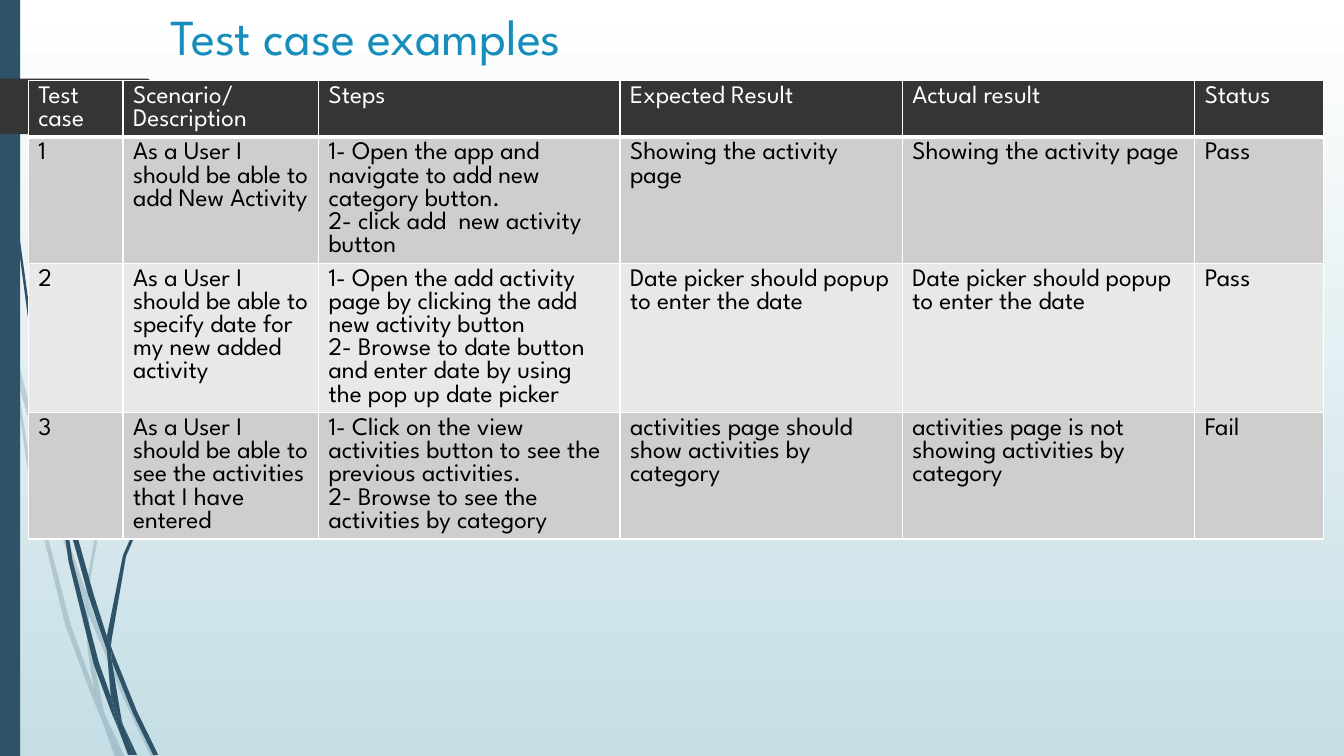
from dataclasses import dataclass

from lxml import etree
from pptx import Presentation, util as u
from pptx.dml.color import RGBColor
from pptx.enum import shapes, text
from pptx.oxml import ns

COLORS = {
    "title": "178DBB", "stem": "2E5369", "dark": "353535", "odd": "CECECE",
    "even": "E8E8E8", "white": "FFFFFF", "black": "000000", "sky": "C5DEE5",
}
FONT = "League Spartan"
TITLE_FONT = {"name": FONT, "size": u.Pt(36), "bold": False}
CELL_FONT = {"name": FONT, "size": u.Pt(18), "bold": False}
TITLE_BOX = {"left": u.Inches(1.59), "top": 0, "width": u.Inches(9.75), "height": u.Inches(1.4)}
TITLE_FRAME = {
    "vertical_anchor": text.MSO_ANCHOR.TOP,
    "auto_size": text.MSO_AUTO_SIZE.NONE,
    "word_wrap": True,
}
COLUMN_WIDTHS = (0.94, 1.94, 2.99, 2.8, 2.9, 1.28)
ROW_HEIGHTS = (0.56, 1.25, 1.48, 1.25)
TABLE_ROWS = (
    ("Test case", "Scenario/Description", "Steps", "Expected Result", "Actual result", "Status"),
    ("1", "As a User I should be able to add New Activity",
     "1- Open the app and navigate to add new category button.\n2- click add  new activity button",
     "Showing the activity page", "Showing the activity page", "Pass"),
    ("2", "As a User I should be able to specify date for my new added activity",
     "1- Open the add activity page by clicking the add new activity button\n"
     "2- Browse to date button and enter date by using the pop up date picker",
     "Date picker should popup to enter the date",
     "Date picker should popup to enter the date", "Pass"),
    ("3", "As a User I should be able to see the activities that I have entered",
     "1- Click on the view activities button to see the previous activities.\n"
     "2- Browse to see the activities by category",
     "activities page should show activities by category",
     "activities page is not  showing activities by category", "Fail"),
)


@dataclass(frozen=True)
class Outline:
    """A closed outline whose points are "x,y" pairs in inches."""
    points: str
    color: str = "stem"
    opacity: int = 100


PALE_STEMS = (
    "0.11,3.5 0.09,3.22 0,2.82 0,2.99 0.1,3.44",
    "0.58,5.22 0.84,5.99 0.85,5.86 0.62,5.2 0.14,3.45 0.17,3.76",
    "0.92,6.07 0.88,5.96 0.88,6.1 1.23,6.94 1.5,7.51 1.55,7.51 1.27,6.92",
    "1.19,7.51 1.24,7.51 1.05,7.11",
    "0.93,6.83 0.7,6.19 0.31,4.69 0.17,3.76 0.11,3.5 0.28,4.7 0.65,6.21 0.92,6.93 1.01,7.14 0.99,7.07",
    "0.84,5.99 0.87,6.46 0.93,6.83 0.96,6.92 1.05,7.11 1.03,7.06 0.91,6.46 0.88,6.1 0.88,6.08",
    "0.88,5.84 1.1,4.62 1.6,3.49 2.29,2.45 2.68,1.98 2.9,1.75 3.12,1.54 3.12,1.53 2.89,1.75 "
    "2.68,1.97 2.28,2.44 1.58,3.48 1.07,4.61 0.85,5.84 0.85,5.86 0.88,5.96",
    "1.01,7.14 1.14,7.51 1.19,7.51",
    "0.88,6.08 0.88,6.1 0.88,5.96 0.85,5.86 0.84,5.99",
    "0.96,6.92 0.93,6.83 0.99,7.07 1.01,7.14 1.19,7.51 1.05,7.11",
)
DARK_STEMS = (
    "0.07,1.1 0.17,2.33 0.33,3.55 0.56,4.77 0.57,4.81 0.55,4.57 0.55,4.53 0.36,3.55 0.19,2.32 "
    "0.08,1.09 0.05,0.48 0.04,0 0.03,0 0.04,0.48",
    "0.88,5.92 1.06,6.45 1.06,6.33 1.06,6.31 0.93,5.9 0.6,4.72 0.64,5.05",
    "1.13,6.49 1.1,6.41 1.11,6.56 1.32,7.08 1.52,7.49 1.57,7.49 1.36,7.06",
    "1.1,6.91 0.98,6.57 0.72,5.56 0.64,5.05 0.57,4.77 0.68,5.57 0.93,6.59 1.11,7.08 1.17,7.22 1.16,7.17",
    "0.6,4.72 0.58,4.53 0.54,3.49 0.58,2.45 0.63,1.93 0.7,1.41 0.62,1.93 0.56,2.45 0.52,3.49 0.55,4.49",
    "1.33,7.49 1.36,7.49 1.22,7.19",
    "0.57,4.77 0.64,5.05 0.6,4.72 0.55,4.49 0.55,4.53",
    "1.11,6.33 1.25,5.52 1.58,4.76 2.05,4.06 2.31,3.74 2.45,3.59 2.61,3.44 2.6,3.44 2.45,3.58 "
    "2.31,3.73 2.04,4.05 1.56,4.74 1.22,5.51 1.06,6.31 1.1,6.41",
    "1.17,7.22 1.27,7.49 1.31,7.49",
    "1.06,6.45 1.1,6.91 1.16,7.06 1.22,7.19 1.21,7.16 1.11,6.56 1.09,6.51",
    "1.06,6.45 1.09,6.51 1.11,6.56 1.1,6.41 1.06,6.31 1.06,6.33",
    "1.16,7.06 1.1,6.91 1.16,7.17 1.17,7.22 1.3,7.49 1.33,7.49 1.22,7.19",
)
PAGE_TAG = Outline(
    "1.73,1.08 1.48,1.33 1.46,1.34 1.36,1.34 0,1.33 0,0.78 1.46,0.78 1.48,0.79 1.73,1.04 1.74,1.06",
    "dark",
)


def rgb(color: str) -> RGBColor:
    """Look up a named colour."""
    return RGBColor.from_string(COLORS[color])


def apply(target: object, values: dict) -> None:
    """Set each format value on the target."""
    for name, value in values.items():
        setattr(target, name, value)


def paint(shape, color: str, opacity: int = 100) -> None:
    """Fill a shape flat, without outline or shadow."""
    shape.shadow.inherit = False
    shape.fill.solid()
    shape.fill.fore_color.rgb = rgb(color)
    shape.line.fill.background()
    if opacity < 100:
        fill_color = shape.fill._xPr.find(".//" + ns.qn("a:srgbClr"))
        etree.SubElement(fill_color, ns.qn("a:alpha"), val=str(opacity * 1000))


def draw_outline(slide, outline: Outline) -> None:
    """Draw one closed outline."""
    points = [tuple(u.Inches(float(number)) for number in pair.split(","))
              for pair in outline.points.split()]
    builder = slide.shapes.build_freeform(*points[0])
    builder.add_line_segments(points[1:], close=True)
    paint(builder.convert_to_shape(), outline.color, outline.opacity)


def draw_background(slide) -> None:
    """Draw the sky gradient, the stems, the side bar and the page tag."""
    fill = slide.background.fill
    fill.gradient()
    fill.gradient_angle = 270
    for stop, color in zip(fill.gradient_stops, ("white", "sky")):
        stop.color.rgb = rgb(color)
    for points in PALE_STEMS:
        draw_outline(slide, Outline(points, opacity=20))
    for points in DARK_STEMS:
        draw_outline(slide, Outline(points))
    side_bar = slide.shapes.add_shape(
        shapes.MSO_SHAPE.RECTANGLE, 0, 0, u.Inches(0.2), u.Inches(7.5))
    paint(side_bar, "stem")
    draw_outline(slide, PAGE_TAG)


def border_cell(cell, bottom_width: int) -> None:
    """Give a cell white borders, placed ahead of its fill."""
    properties = cell._tc.get_or_add_tcPr()
    for index, side in enumerate(("lnL", "lnR", "lnT", "lnB")):
        width = bottom_width if side == "lnB" else 1
        line = etree.Element(ns.qn("a:" + side), w=str(u.Pt(width)))
        fill = etree.SubElement(line, ns.qn("a:solidFill"))
        etree.SubElement(fill, ns.qn("a:srgbClr"), val=COLORS["white"])
        properties.insert(index, line)


def draw_table(slide) -> None:
    """Draw the table of test cases."""
    table = slide.shapes.add_table(
        len(ROW_HEIGHTS), len(COLUMN_WIDTHS), u.Inches(0.28), u.Inches(0.8),
        u.Inches(sum(COLUMN_WIDTHS)), u.Inches(sum(ROW_HEIGHTS))).table
    for column, width in zip(table.columns, COLUMN_WIDTHS):
        column.width = u.Inches(width)
    for row_index, (row, height, values) in enumerate(zip(table.rows, ROW_HEIGHTS, TABLE_ROWS)):
        row.height = u.Inches(height)
        header = row_index == 0
        fill_color = "dark" if header else "odd" if row_index % 2 else "even"
        for cell, value in zip(row.cells, values):
            cell.text = value
            cell.fill.solid()
            cell.fill.fore_color.rgb = rgb(fill_color)
            border_cell(cell, 3 if header else 1)
            for paragraph in cell.text_frame.paragraphs:
                font = paragraph.runs[0].font
                apply(font, CELL_FONT)
                font.color.rgb = rgb("white" if header else "black")


def write_title(slide) -> None:
    """Place the title in front and format it."""
    title = slide.shapes.title
    apply(title, TITLE_BOX)
    apply(title.text_frame, TITLE_FRAME)
    title.text_frame.text = "Test case examples"
    paragraph = title.text_frame.paragraphs[0]
    paragraph.alignment = text.PP_ALIGN.LEFT
    font = paragraph.runs[0].font
    apply(font, TITLE_FONT)
    font.color.rgb = rgb("title")
    slide.shapes.element.append(title.element)


def main() -> None:
    """Build and save the slide."""
    presentation = Presentation()
    apply(presentation, {"slide_width": u.Inches(13.33), "slide_height": u.Inches(7.5)})
    slide = presentation.slides.add_slide(presentation.slide_layouts[5])
    draw_background(slide)
    draw_table(slide)
    write_title(slide)
    presentation.save("out.pptx")


if __name__ == "__main__":
    main()
